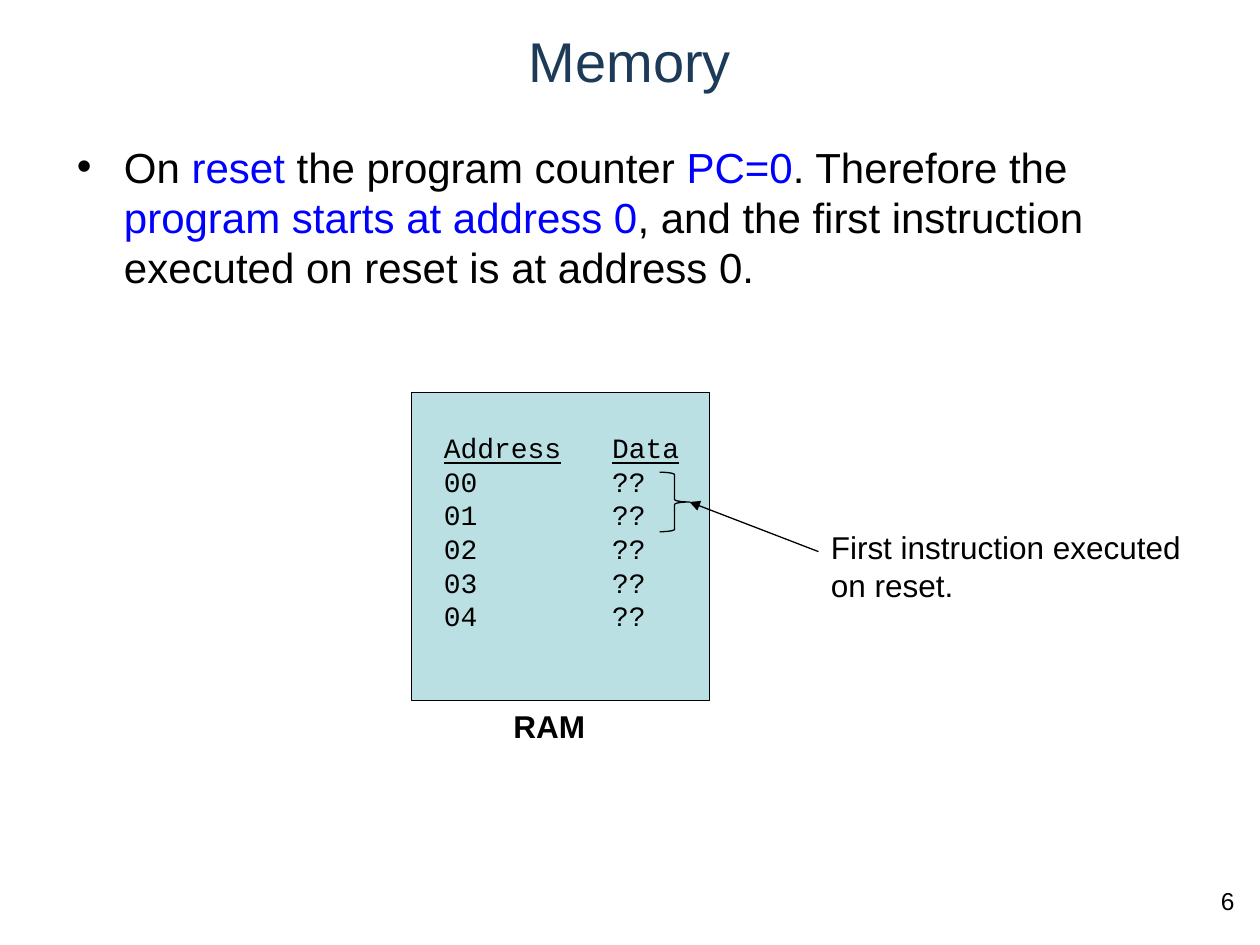
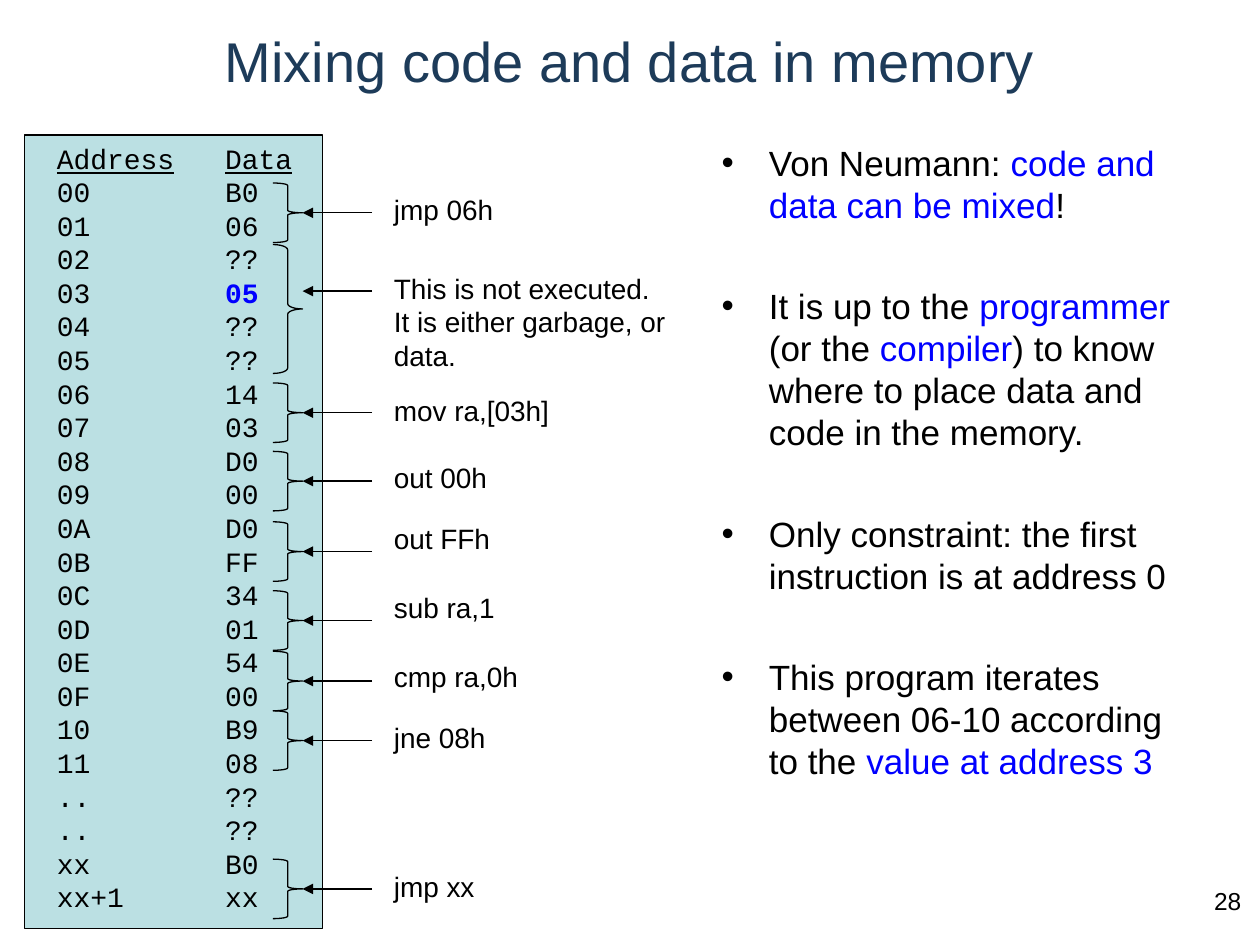
from lxml.etree import SubElement
from pptx import Presentation
from pptx.dml.color import RGBColor
from pptx.enum.shapes import MSO_CONNECTOR as Connector, MSO_SHAPE as Preset
from pptx.enum.text import MSO_ANCHOR as Anchor, MSO_AUTO_SIZE as AutoSize, PP_ALIGN as Align
from pptx.oxml.ns import qn
from pptx.util import Cm, Pt

COLOURS = {"text": "000000", "title": "1D3B59", "highlight": "0000FF", "memory": "BBE0E3"}
SANS, MONO = "Arial", "Courier New"
LINE_WIDTH = Pt(0.75)
MEMORY_WIDTH, BRACE_OFFSET, BRACE_WIDTH, BRACE_HEIGHT = 6, 5, 0.6, 1.2
TIP_OFFSET = BRACE_OFFSET + BRACE_WIDTH
BODY_TOP = 2.72

RESET_ROWS = [f"{address:02X} ??" for address in range(5)]
PROGRAM_BYTES = "B0 06 ?? |05| ?? ?? 14 03 D0 00 D0 FF 34 01 54 00 B9 08".split()
PROGRAM_ROWS = [f"{address:02X} {data}" for address, data in enumerate(PROGRAM_BYTES)]
PROGRAM_ROWS += [".. ??", ".. ??", "xx B0", "xx+1 xx"]

INSTRUCTIONS = [
    (0.97, 1.04, "jmp 06h"),
    (5, 5.08, "mov ra,[03h]"),
    (6.38, 6.43, "out 00h"),
    (7.8, 7.67, "out FFh"),
    (9.19, 9.07, "sub ra,1"),
    (10.41, 10.46, "cmp ra,0h"),
    (11.61, 11.68, "jne 08h"),
    (14.6, 14.68, "jmp xx"),
]


def colour(name):
    """Return the named palette colour."""
    return RGBColor.from_string(COLOURS[name])


def format_run(run, size, name="text", font=SANS, bold=False, underline=False):
    """Set the typeface, size, colour and emphasis of a run."""
    run.font.name, run.font.size = font, Pt(size)
    run.font.bold, run.font.underline = bold, underline
    run.font.color.rgb = colour(name)


def add_text(slide, box, lines, size, font=SANS, bold=False, bold_highlight=False,
             underline_first=False, align=Align.LEFT):
    """Add a text box; parts of a line between bars are highlighted."""
    shape = slide.shapes.add_textbox(*map(Cm, box))
    frame = shape.text_frame
    frame.word_wrap = True
    for index, line in enumerate(lines):
        paragraph = frame.paragraphs[0] if index == 0 else frame.add_paragraph()
        paragraph.alignment = align
        paragraph.line_spacing = Pt(size * 1.2)
        for part, text in enumerate(line.split("|")):
            if text:
                marked = part % 2 == 1
                run = paragraph.add_run()
                run.text = text
                format_run(run, size, "highlight" if marked else "text", font,
                           bold or (marked and bold_highlight),
                           underline_first and index == 0)
    return shape


def add_bullets(slide, box, lines, size):
    """Add a bulleted list whose items are set one blank line apart."""
    shape = add_text(slide, box, lines, size)
    for index, paragraph in enumerate(shape.text_frame.paragraphs):
        paragraph.space_before = Pt(size * 1.7 if index else 0)
        properties = paragraph._p.get_or_add_pPr()
        properties.set("marL", str(Cm(0.95)))
        properties.set("indent", str(-Cm(0.95)))
        SubElement(properties, qn("a:buFont"), typeface=SANS)
        SubElement(properties, qn("a:buChar"), char="•")


def add_memory(slide, left, top, height, rows, listing_offset):
    """Add a memory block with its address and data columns."""
    block = slide.shapes.add_shape(Preset.RECTANGLE, *map(Cm, (left, top, MEMORY_WIDTH, height)))
    block.shadow.inherit = False
    block.fill.solid()
    block.fill.fore_color.rgb = colour("memory")
    block.line.color.rgb = colour("text")
    block.line.width = LINE_WIDTH
    lines = [row.replace(" ", "\t") for row in ["Address Data", *rows]]
    box = (left + 0.4, top + listing_offset, MEMORY_WIDTH - 0.4, height - listing_offset)
    listing = add_text(slide, box, lines, 16, MONO, bold_highlight=True, underline_first=True)
    for paragraph in listing.text_frame.paragraphs:
        tabs = SubElement(paragraph._p.get_or_add_pPr(), qn("a:tabLst"))
        SubElement(tabs, qn("a:tab"), pos=str(Cm(3.39)), algn="l")


def add_brace(slide, left, top, height=BRACE_HEIGHT):
    """Add a right brace spanning the rows of one item in memory."""
    box = (left + BRACE_OFFSET, top, BRACE_WIDTH, height)
    brace = slide.shapes.add_shape(Preset.RIGHT_BRACE, *map(Cm, box))
    brace.adjustments[0] = height / BRACE_HEIGHT / 12
    brace.shadow.inherit = False
    brace.fill.background()
    brace.line.color.rgb = colour("text")
    brace.line.width = LINE_WIDTH


def add_arrow(slide, start, end):
    """Add a straight arrow with a solid head at its end."""
    arrow = slide.shapes.add_connector(Connector.STRAIGHT, *map(Cm, (*start, *end)))
    arrow.line.color.rgb = colour("text")
    arrow.line.width = LINE_WIDTH
    properties = arrow.element.spPr
    SubElement(properties.get_or_add_ln(), qn("a:tailEnd"), type="triangle")
    SubElement(properties, qn("a:effectLst"))


def add_annotation(slide, left, top, brace_top, label_top, lines,
                   brace_height=BRACE_HEIGHT, arrow_offset=BRACE_HEIGHT / 2):
    """Add a brace, its arrow and its label beside a memory block."""
    arrow_y = top + brace_top + arrow_offset
    add_brace(slide, left, top + brace_top, brace_height)
    add_arrow(slide, (left + 7, arrow_y), (left + TIP_OFFSET, arrow_y))
    add_text(slide, (left + 7.19, top + label_top, 6.2, 0.94 * len(lines)), lines, 16)


def add_titled_slide(presentation, title, number):
    """Add a slide with the shared title style and page number."""
    slide = presentation.slides.add_slide(presentation.slide_layouts[5])
    shape = slide.shapes.title
    shape.left, shape.top, shape.width, shape.height = map(Cm, (1.5, 0.33, 22.4, 1.75))
    frame = shape.text_frame
    frame.auto_size, frame.word_wrap = AutoSize.NONE, True
    frame.vertical_anchor = Anchor.MIDDLE
    paragraph = frame.paragraphs[0]
    paragraph.alignment = Align.CENTER
    run = paragraph.add_run()
    run.text = title
    format_run(run, 32, "title")
    add_text(slide, (24.1, 17.73, 1.3, 1.32), [str(number)], 14, align=Align.CENTER)
    return slide


def build_reset_slide(presentation):
    """Build the slide on where execution starts after a reset."""
    slide = add_titled_slide(presentation, "Memory", 6)
    add_bullets(slide, (1.3, BODY_TOP, 22.86, 14.3), [
        "On |reset| the program counter |PC=0|. Therefore the |program starts at address 0|"
        ", and the first instruction executed on reset is at address 0."], 24)
    left, top, height = 8.3, 7.92, 6.2
    add_memory(slide, left, top, height, RESET_ROWS, 0.64)
    add_text(slide, (left + 1.8, top + height, 2.2, 1.02), ["RAM"], 18, bold=True)
    add_brace(slide, left, top + 1.6)
    add_arrow(slide, (left + 8.2, top + 3.2), (left + TIP_OFFSET, top + 2.2))
    add_text(slide, (left + 8.2, top + 2.6, 8.4, 2.54),
             ["First instruction executed on reset."], 18)


def build_mixing_slide(presentation):
    """Build the slide on a program that shares memory with its data."""
    slide = add_titled_slide(presentation, "Mixing code and data in memory", 28)
    add_bullets(slide, (14.3, BODY_TOP, 9.86, 14.3), [
        "Von Neumann: |code and data can be mixed|!",
        "It is up to the |programmer| (or the |compiler|) to know where to place data and "
        "code in the memory.",
        "Only constraint: the first instruction is at address 0",
        "This program iterates between 06-10 according to the |value at address 3|"], 20)
    left = 0.5
    add_memory(slide, left, BODY_TOP, 16, PROGRAM_ROWS, 0)
    for brace_top, label_top, label in INSTRUCTIONS:
        add_annotation(slide, left, BODY_TOP, brace_top, label_top, [label])
    add_annotation(slide, left, BODY_TOP, 2.21, 2.62,
                   ["This is not executed.", "It is either garbage, or data."],
                   brace_height=2.6, arrow_offset=0.94)


def main():
    """Build and save the presentation."""
    presentation = Presentation()
    presentation.slide_width, presentation.slide_height = Cm(25.4), Cm(19.05)
    build_reset_slide(presentation)
    build_mixing_slide(presentation)
    presentation.save("out.pptx")


if __name__ == "__main__":
    main()
